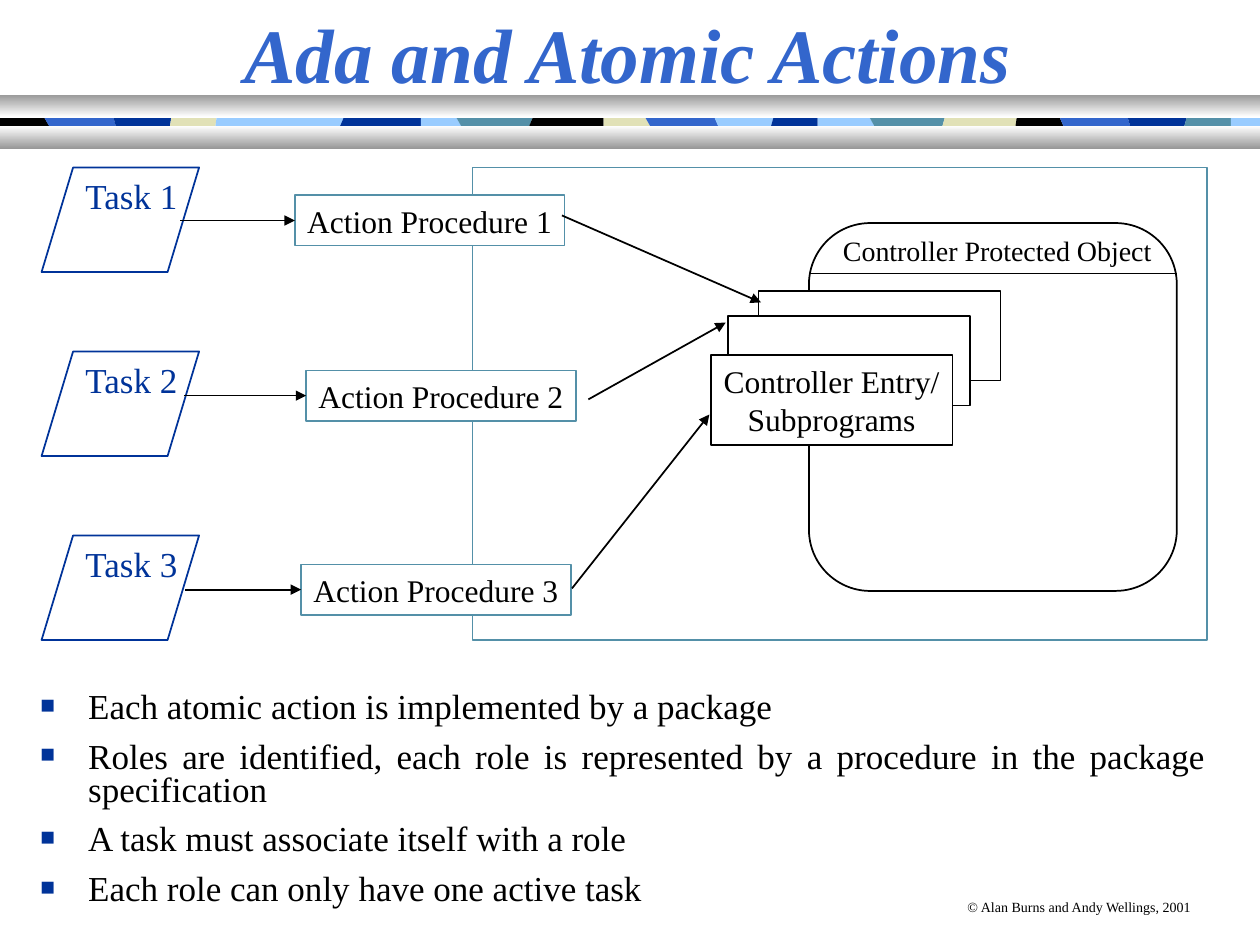
from lxml import etree
from pptx import Presentation
from pptx import util as u
from pptx.dml.color import RGBColor
from pptx.enum import shapes, text
from pptx.oxml import ns

Inches, Pt = u.Inches, u.Pt
COLORS = {
    "black": "000000", "white": "FFFFFF", "grey": "989898", "blue": "3366CC",
    "navy": "003399", "sky": "99CCFF", "teal": "5490A8", "sand": "E1E1B7",
}
FONT = "Times New Roman"
CENTER, LEFT = text.PP_ALIGN.CENTER, text.PP_ALIGN.LEFT

# Mosaic tiles: colour, then x of the right edge at the top and at the bottom
TILES = [
    ("black", 0.35, 0.39), ("blue", 0.9, 0.92), ("navy", 1.36, 1.35),
    ("sand", 1.72, 1.71), ("sky", 2.73, 2.7), ("navy", 3.34, 3.34),
    ("sky", 3.62, 3.66), ("teal", 4.23, 4.2), ("black", 4.79, 4.79),
    ("sand", 5.12, 5.16), ("blue", 5.67, 5.7), ("sky", 6.14, 6.12),
    ("navy", 6.49, 6.49), ("sky", 6.9, 6.94), ("teal", 7.5, 7.48),
    ("sand", 8.07, 8.06), ("black", 8.41, 8.44), ("blue", 8.95, 8.97),
    ("navy", 9.42, 9.4), ("teal", 9.77, 9.77), ("sky", 10, 10),
]
POINTS = [
    "Each atomic action is implemented by a package",
    "Roles are identified, each role is represented by a procedure "
    "in the package specification",
    "A task must associate itself with a role",
    "Each role can only have one active task",
]


def rgb(name):
    return RGBColor.from_string(COLORS[name])


def set_all(target, values):
    for key, value in values.items():
        setattr(target, key, value)


def place(shape, left, top, width, height):
    set_all(shape, {"left": Inches(left), "top": Inches(top),
                    "width": Inches(width), "height": Inches(height)})


def style_font(paragraph, size, color, **extra):
    set_all(paragraph.font, {"name": FONT, "size": Pt(size), **extra})
    paragraph.font.color.rgb = rgb(color)


def write(shape, lines, size, color="black", align=CENTER):
    frame = shape.text_frame
    frame.text = "\n".join(lines)
    set_all(frame, {"word_wrap": False, "vertical_anchor": text.MSO_ANCHOR.MIDDLE})
    for paragraph in frame.paragraphs:
        paragraph.alignment = align
        style_font(paragraph, size, color)


def add_label(slide, box, label, size, color="black", align=CENTER):
    write(slide.shapes.add_textbox(*map(Inches, box)), [label], size, color, align)


def add_box(slide, kind, box, line, fill="white"):
    shape = slide.shapes.add_shape(kind, *map(Inches, box))
    shape.shadow.inherit = False
    if fill:
        shape.fill.solid()
        shape.fill.fore_color.rgb = rgb(fill)
    else:
        shape.fill.background()
    shape.line.color.rgb = rgb(line)
    shape.line.width = Pt(1)
    return shape


def add_line(slide, start, end, arrow=True):
    line = slide.shapes.add_connector(
        shapes.MSO_CONNECTOR.STRAIGHT, *map(Inches, (*start, *end)))
    line.line.color.rgb = rgb("black")
    line.line.width = Pt(1)
    if arrow:
        etree.SubElement(line.line._get_or_add_ln(), ns.qn("a:tailEnd"), type="triangle")
    etree.SubElement(line._element.spPr, ns.qn("a:effectLst"))
    return line


def build_banner(slide, left, top, width, height):
    """Row of slanted tiles between two metallic bars."""
    bar = 0.18
    tile_top, tile_bottom = top + 0.1, top + height - 0.05
    upper, lower = top + bar, top + height - bar
    start = (left, left)
    for color, *right in TILES:
        end = [left + x for x in right]
        outline = [(start[0], tile_top), (end[0], tile_top), (end[0], upper),
                   (end[1], lower), (end[1], tile_bottom), (start[1], tile_bottom),
                   (start[1], lower), (start[0], upper)]
        corners = [(Inches(x), Inches(y)) for x, y in outline]
        builder = slide.shapes.build_freeform(*corners[0])
        builder.add_line_segments(corners[1:], close=True)
        tile = builder.convert_to_shape()
        tile.shadow.inherit = False
        tile.fill.solid()
        tile.fill.fore_color.rgb = rgb(color)
        tile.line.fill.background()
        start = end
    for bar_top, stops in ((top, ("grey", "white")), (lower, ("white", "grey"))):
        metal = add_box(slide, shapes.MSO_SHAPE.RECTANGLE, (left, bar_top, width, bar), "grey")
        metal.line.fill.background()
        metal.fill.gradient()
        metal.fill.gradient_angle = 270
        for stop, color in zip(metal.fill.gradient_stops, stops):
            stop.color.rgb = rgb(color)


def build_title(slide, *box):
    title = slide.shapes.title
    place(title, *box)
    write(title, ["Ada and Atomic Actions"], 44, "blue")
    title.text_frame.word_wrap = True
    set_all(title.text_frame.paragraphs[0].font, {"bold": True, "italic": True})


def build_points(slide, *box):
    body = slide.placeholders[1]
    place(body, *box)
    frame = body.text_frame
    frame.text = "\n".join(POINTS)
    frame.auto_size = text.MSO_AUTO_SIZE.NONE
    for index, paragraph in enumerate(frame.paragraphs):
        props = paragraph._p.get_or_add_pPr()
        props.set("marL", str(Inches(0.38)))
        props.set("indent", str(Inches(-0.38)))
        bullet_color = etree.SubElement(props, ns.qn("a:buClr"))
        etree.SubElement(bullet_color, ns.qn("a:srgbClr"), val=COLORS["navy"])
        etree.SubElement(props, ns.qn("a:buSzPct"), val="70000")
        etree.SubElement(props, ns.qn("a:buFont"), typeface=FONT)
        etree.SubElement(props, ns.qn("a:buChar"), char="■")
        set_all(paragraph, {
            "alignment": text.PP_ALIGN.JUSTIFY, "line_spacing": 0.8,
            "space_before": Pt(5 if index else 0), "space_after": Pt(3.9)})
        style_font(paragraph, 20, "black")


def build_diagram(slide, left, top, width, height):
    """Tasks call action procedures, which call the shared controller."""
    kinds = shapes.MSO_SHAPE

    # Package boundary
    add_box(slide, kinds.RECTANGLE, (left + 3.42, top, width - 3.42, height), "teal", None)

    # Controller protected object
    controller = left + 6.09
    add_box(slide, kinds.FLOWCHART_ALTERNATE_PROCESS,
            (controller, top + 0.44, 2.92, 2.92), "black", None)
    add_label(slide, (controller + 0.17, top + 0.47, 2.65, 0.37),
              "Controller Protected Object", 16)
    add_line(slide, (controller, top + 0.84), (controller + 2.92, top + 0.84), arrow=False)

    # Stacked controller entries, back to front
    for x, y in ((5.69, 0.98), (5.45, 1.18), (5.31, 1.49)):
        entry = add_box(slide, kinds.RECTANGLE, (left + x, top + y, 1.92, 0.71), "black")
    write(entry, ["Controller Entry/", "Subprograms"], 18)

    # One row per task: procedure x and y, task arrow x, call start and end
    rows = [
        ((2.01, 0.22), 1.1, (4.13, 0.38), (5.71, 1.07)),
        ((2.1, 1.61), 1.13, (4.34, 1.84), (5.43, 1.23)),
        ((2.06, 3.15), 1.14, (4.21, 3.34), (5.3, 1.96)),
    ]
    for index, ((x, y), arrow_x, call_start, call_end) in enumerate(rows):
        task_top = top + index * 1.46
        add_box(slide, kinds.FLOWCHART_DATA, (left, task_top, 1.25, 0.83), "navy")
        add_label(slide, (left + 0.25, task_top, 0.95, 0.44),
                  f"Task {index + 1}", 20, "navy", LEFT)
        procedure = add_box(slide, kinds.RECTANGLE, (left + x, top + y, 2.14, 0.4), "teal")
        write(procedure, [f"Action Procedure {index + 1}"], 18)
        middle = top + y + 0.2
        task_arrow = add_line(slide, (left + arrow_x, middle), (left + x, middle))
        task_arrow.end_connect(procedure, 1)
        add_line(slide, *((left + px, top + py) for px, py in (call_start, call_end)))


def main():
    deck = Presentation()
    deck.slide_width, deck.slide_height = Inches(10), Inches(7.5)
    slide = deck.slides.add_slide(deck.slide_layouts[1])
    build_banner(slide, 0, 0.75, 10, 0.43)
    build_title(slide, 0, 0, 9.97, 0.83)
    build_diagram(slide, 0.33, 1.33, 9.25, 3.75)
    build_points(slide, 0.22, 5.45, 9.45, 1.84)
    # Copyright line
    add_label(slide, (7.58, 7.08, 2, 0.24), "© Alan Burns and Andy Wellings, 2001", 8, align=LEFT)
    deck.save("out.pptx")


if __name__ == "__main__":
    main()
